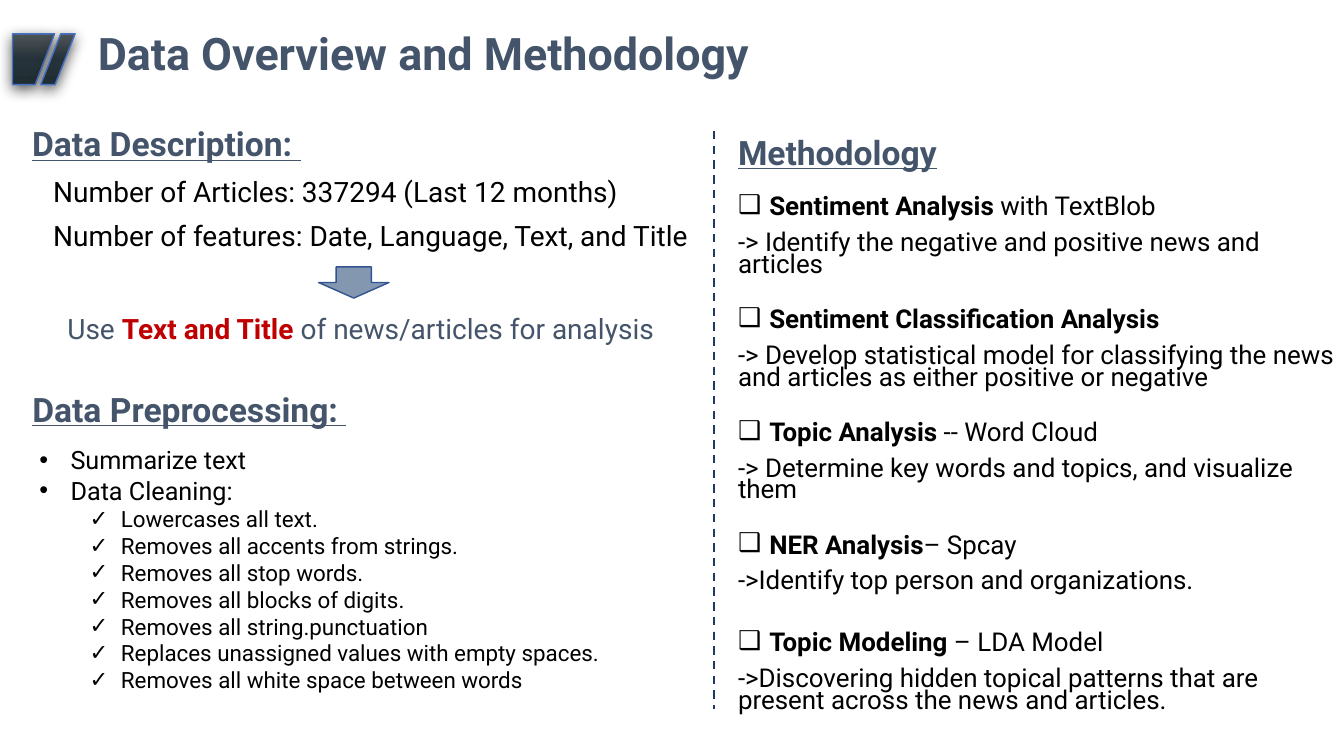
from copy import deepcopy
from lxml import etree
from pptx import Presentation, util as u
from pptx.dml.color import RGBColor
from pptx.enum import dml, shapes, text
from pptx.oxml import ns

W, H = u.Inches(13.33), u.Inches(7.5)
SLATE, BLACK, RED = "44546A", "000000", "C00000"
HEADING = {"size": 24, "color": SLATE, "bold": True, "underline": True}
BOLD = {"bold": True}
METHODS = [
    ("Sentiment Analysis ", "with TextBlob", "-> Identify the negative and positive news and articles", 0),
    ("Sentiment Classification Analysis", "",
     "-> Develop statistical model for classifying the news and articles as either positive or negative", 23.8),
    ("Topic Analysis ", "-- Word Cloud", "-> Determine key words and topics, and visualize them", 23.8),
    ("NER Analysis", "– Spcay", "->Identify top person and organizations.", 23.8),
    ("Topic Modeling ", "– LDA Model",
     "->Discovering hidden topical patterns that are present across the news and articles.", 28.4),
]
STEPS = ["Summarize text", "Data Cleaning:"]
CLEANING = [
    "Lowercases all text.", "Removes all accents from strings.", "Removes all stop words.",
    "Removes all blocks of digits.", "Removes all string.punctuation",
    "Replaces unassigned values with empty spaces.", "Removes all white space between words",
]


def rgb(value):
    """Turn a hex string into a colour."""
    return RGBColor.from_string(value)


def share(x, y, w, h):
    """Return a box given in percent of the slide's size."""
    return tuple(int(v * size / 100) for v, size in zip((x, y, w, h), (W, H, W, H)))


def part(box, x, y, w, h):
    """Return a box given in shares of another box."""
    left, top, width, height = box
    return int(left + x * width), int(top + y * height), int(w * width), int(h * height)


def place(sp, box, anchor=text.MSO_ANCHOR.TOP):
    """Move a text shape into a box and return its text frame."""
    for name, value in zip(("left", "top", "width", "height"), box):
        setattr(sp, name, value)
    tf = sp.text_frame
    for name, value in {"word_wrap": True, "auto_size": text.MSO_AUTO_SIZE.NONE,
                        "vertical_anchor": anchor}.items():
        setattr(tf, name, value)
    return tf


def write(tf, runs, before=0, spacing=0.9, bullet=None, indent=0, hang=0, level=0, **font):
    """Add a paragraph of (text, format) runs to a text frame."""
    p = tf.paragraphs[0] if not tf.text else tf.add_paragraph()
    pPr = p._p.get_or_add_pPr()
    pPr.set("marL", str(u.Inches(indent)))
    pPr.set("indent", str(u.Inches(-hang)))
    if bullet:
        etree.SubElement(pPr, ns.qn("a:buFont")).set("typeface", "Arial")
        etree.SubElement(pPr, ns.qn("a:buChar")).set("char", bullet)
    else:
        etree.SubElement(pPr, ns.qn("a:buNone"))
    for name, value in {"level": level, "alignment": text.PP_ALIGN.LEFT, "line_spacing": spacing,
                        "space_before": u.Pt(before), "space_after": u.Pt(0)}.items():
        setattr(p, name, value)
    for words, extra in runs:
        r = p.add_run()
        r.text = words
        look = {"name": "Roboto", "color": BLACK, "bold": False, **font, **extra}
        r.font.color.rgb = rgb(look.pop("color"))
        r.font.size = u.Pt(look.pop("size"))
        for name, value in look.items():
            setattr(r.font, name, value)


def add_mark(s, box, corners):
    """Draw one dark slanted bar with a gradient and a soft shadow."""
    points = [part(box, x, y, 0, 0)[:2] for x, y in corners]
    builder = s.shapes.build_freeform(*points[0], scale=1.0)
    builder.add_line_segments(points[1:], close=True)
    sp = builder.convert_to_shape()
    sp.fill.gradient()
    sp.fill.gradient_angle = 270
    stops = sp._element.spPr.find(".//" + ns.qn("a:gsLst"))
    stops.insert(1, deepcopy(stops[0]))
    for stop, (position, color) in zip(sp.fill.gradient_stops,
                                       ((0, "4E5458"), (0.5, "253239"), (1, "202D33"))):
        stop.position = position
        stop.color.rgb = rgb(color)
    sp.line.color.rgb, sp.line.width = rgb("4472C4"), u.Pt(1)
    sp.shadow.inherit = False
    effects = sp._element.spPr.find(ns.qn("a:effectLst"))
    shadow = etree.SubElement(effects, ns.qn("a:outerShdw"), blurRad=str(u.Pt(10)),
                              dist=str(u.Pt(3)), dir="5400000", algn="ctr", rotWithShape="0")
    color = etree.SubElement(shadow, ns.qn("a:srgbClr"), val=BLACK)
    etree.SubElement(color, ns.qn("a:alpha"), val="63000")


def add_header(s, box):
    """Place the slide title and the two bars beside it."""
    tf = place(s.shapes.title, part(box, 0.07, 0, 0.93, 1), text.MSO_ANCHOR.MIDDLE)
    write(tf, [("Data Overview and Methodology", BOLD)], size=32, color=SLATE)
    bars = part(box, 0.01, 0.3, 0.05, 0.45)
    add_mark(s, bars, [(0, 0), (0.67, 0), (0.36, 1), (0, 1)])
    add_mark(s, bars, [(0.77, 0), (1, 0), (0.68, 1), (0.45, 1)])


def add_description(s, box):
    """Place the data facts, the arrow and the conclusion under it."""
    tf = place(s.shapes.add_textbox(*box), part(box, 0, 0, 1, 0.61))
    write(tf, [("Data Description: ", HEADING)])
    for fact in ("Number of Articles: 337294 (Last 12 months)",
                 "Number of features: Date, Language, Text, and Title"):
        write(tf, [(fact, {})], before=10, indent=0.21, size=20)
    arrow = s.shapes.add_shape(shapes.MSO_SHAPE.DOWN_ARROW, *part(box, 0.42, 0.6, 0.1, 0.13))
    arrow.shadow.inherit = False
    arrow.fill.solid()
    arrow.fill.fore_color.rgb = rgb("8497B0")
    arrow.line.color.rgb, arrow.line.width = rgb("325491"), u.Pt(1)
    tf = place(s.shapes.add_textbox(*box), part(box, 0.05, 0.78, 0.95, 0.22))
    write(tf, [("Use ", {}), ("Text and Title ", {"color": RED, "bold": True}),
               ("of news/articles for analysis", {})], size=20, color=SLATE)


def add_preprocessing(heading, body, box):
    """Place the preprocessing heading and its two-level list."""
    write(place(heading, part(box, 0, 0, 1, 0.15)), [("Data Preprocessing: ", HEADING)])
    tf = place(body, part(box, 0.01, 0.15, 0.91, 0.85))
    for step in STEPS:
        write(tf, [(step, {})], spacing=1.0, bullet="•", indent=0.31, hang=0.31, size=18)
    for step in CLEANING:
        write(tf, [(step, {})], spacing=1.0, bullet="✓", indent=0.81, hang=0.31, level=1, size=16)


def add_methodology(heading, body, box):
    """Place the methodology heading and its list of methods."""
    write(place(heading, part(box, 0, 0, 0.93, 0.08)), [("Methodology", HEADING)])
    tf = place(body, part(box, 0, 0.1, 1, 0.9))
    for name, tool, aim, gap in METHODS:
        runs = [(name, BOLD)] + ([(tool, {})] if tool else [])
        write(tf, runs, before=gap, spacing=0.7, bullet="❑", indent=0.31, hang=0.31, size=18.5)
        write(tf, [(aim, {})], before=10, spacing=0.7, size=18.5)


def add_divider(s, box):
    """Draw the dashed line between the columns."""
    x, y, _, height = box
    line = s.shapes.add_connector(shapes.MSO_CONNECTOR.STRAIGHT, x, y, x, y + height)
    line.line.color.rgb, line.line.width = rgb("203864"), u.Pt(1.5)
    line.line.dash_style = dml.MSO_LINE.DASH
    etree.SubElement(line._element.spPr, ns.qn("a:effectLst"))


def main():
    """Build the slide and save it."""
    prs = Presentation()
    prs.slide_width, prs.slide_height = W, H
    s = prs.slides.add_slide(prs.slide_layouts.get_by_name("Comparison"))
    _, left_heading, left_body, right_heading, right_body = s.placeholders
    add_header(s, share(0, 0, 93.2, 14.93))
    add_description(s, share(1.65, 16.27, 52.5, 31.73))
    add_preprocessing(left_heading, left_body, share(1.65, 51.33, 52.5, 45.47))
    add_divider(s, share(53.11, 17.33, 0, 76.4))
    add_methodology(right_heading, right_body, share(54.16, 17.33, 46.21, 82.67))
    prs.save("out.pptx")


if __name__ == "__main__":
    main()
